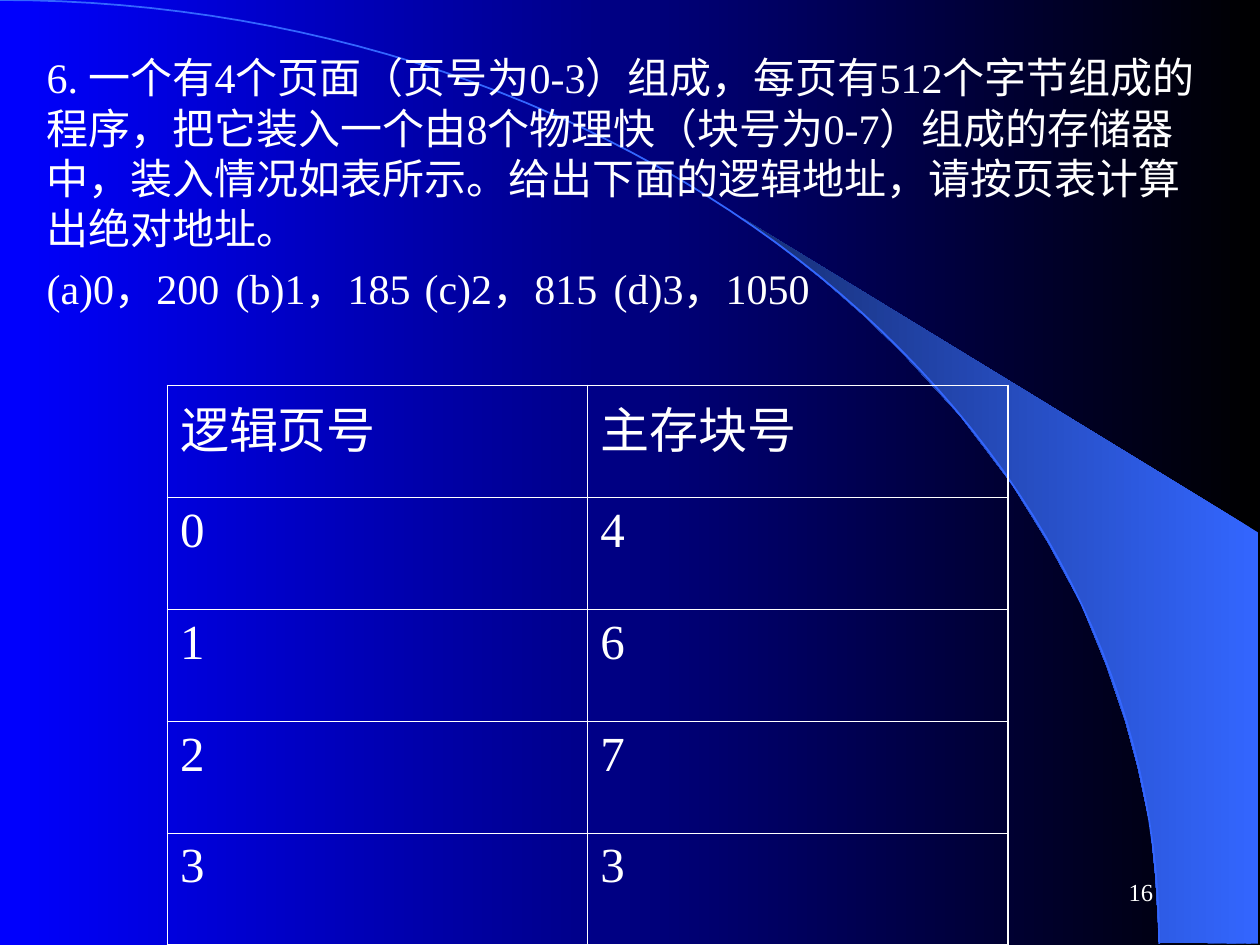
import math

from lxml import etree
from pptx import Presentation
from pptx.dml.color import RGBColor
from pptx.enum.text import MSO_ANCHOR, MSO_AUTO_SIZE, PP_ALIGN
from pptx.oxml.ns import qn
from pptx.util import Inches, Pt

MIDDLE = MSO_ANCHOR.MIDDLE
NO_AUTOFIT = MSO_AUTO_SIZE.NONE
LEFT, RIGHT = PP_ALIGN.LEFT, PP_ALIGN.RIGHT

COLORS = {
    "text": "FFFFFF",
    "black": "000000",
    "blue": "0000FF",
    "arc": "3366FF",
    "beam_dark": "172F75",
}
LATIN_FONT = "Times New Roman"
CHINESE_FONT = "Noto Sans CJK SC"

QUESTION = (
    "6. 一个有4个页面（页号为0-3）组成，每页有512个字节组成的程序，"
    "把它装入一个由8个物理快（块号为0-7）组成的存储器中，装入情况如表所示。"
    "给出下面的逻辑地址，请按页表计算出绝对地址。"
)
ADDRESSES = "(a)0，200\t(b)1，185\t(c)2，815\t(d)3，1050"
PAGE_TABLE = [("逻辑页号", "主存块号"), ("0", "4"), ("1", "6"), ("2", "7"), ("3", "3")]

BEAM_POINTS = [
    (9.2, 7.48), (9.99, 7.49), (9.99, 4.23), (5.89, 1.73), (6.24, 1.99),
    (6.53, 2.22), (6.85, 2.5), (7.16, 2.8), (7.62, 3.3), (8.03, 3.84),
    (8.32, 4.31), (8.58, 4.79), (8.78, 5.28), (8.93, 5.72), (9.03, 6.09),
    (9.13, 6.56), (9.17, 6.96),
]
ARC_STEPS = 60


def color(name):
    return RGBColor.from_string(COLORS[name])


def set_gradient(fill, first, last):
    fill.gradient()
    fill.gradient_angle = 180
    for stop, name in zip(fill.gradient_stops, (first, last)):
        stop.color.rgb = color(name)


def format_paragraph(paragraph, size, latin=LATIN_FONT):
    for run in paragraph.runs:
        run.font.size = Pt(size)
        run.font.bold = False
        run.font.color.rgb = color("text")
        run.font.name = latin
        properties = run.font._element
        etree.SubElement(properties, qn("a:ea"), typeface=CHINESE_FONT)


def add_outline(slide, points, close):
    points = [(Inches(x), Inches(y)) for x, y in points]
    builder = slide.shapes.build_freeform(*points[0])
    builder.add_line_segments(points[1:], close=close)
    shape = builder.convert_to_shape()
    shape.shadow.inherit = False
    return shape


def add_backdrop(slide, width, height):
    set_gradient(slide.background.fill, "black", "blue")

    beam = add_outline(slide, BEAM_POINTS, True)
    set_gradient(beam.fill, "arc", "beam_dark")
    beam.line.fill.background()

    angles = [math.pi / 2 * step / ARC_STEPS for step in range(ARC_STEPS + 1)]
    arc_points = [(width * math.sin(a), height * (1 - math.cos(a))) for a in angles]
    arc = add_outline(slide, arc_points, False)
    arc.fill.background()
    arc.line.color.rgb = color("arc")
    arc.line.width = Pt(1)


def add_question(slide, left, top, width, height):
    title = slide.shapes.title
    title.left, title.top, title.width, title.height = left, top, width, height
    slide.shapes.element.append(title.element)
    text_frame = title.text_frame
    text_frame.text = f"{QUESTION}\n{ADDRESSES}"
    text_frame.word_wrap = True
    text_frame.auto_size = NO_AUTOFIT
    text_frame.vertical_anchor = MIDDLE
    for paragraph in text_frame.paragraphs:
        paragraph.alignment = LEFT
        paragraph.line_spacing = Pt(28.8)
        format_paragraph(paragraph, 24)
    text_frame.paragraphs[-1].space_before = Pt(5)


def set_borders(cell, widths):
    properties = cell._tc.get_or_add_tcPr()
    for index, (side, width) in enumerate(widths.items()):
        line = etree.Element(qn(f"a:ln{side}"), w=str(Pt(width)))
        fill = etree.SubElement(line, qn("a:solidFill"))
        etree.SubElement(fill, qn("a:srgbClr"), val=COLORS["text"])
        properties.insert(index, line)


def add_page_table(slide, left, top, width, height):
    row_count, column_count = len(PAGE_TABLE), len(PAGE_TABLE[0])
    table = slide.shapes.add_table(
        row_count, column_count, left, top, width, height
    ).table
    table.first_row = False
    table.horz_banding = False
    outer, inner = 1.08, 0.45
    for row, values in enumerate(PAGE_TABLE):
        for column, value in enumerate(values):
            cell = table.cell(row, column)
            cell.text = value
            cell.fill.background()
            paragraph = cell.text_frame.paragraphs[0]
            paragraph.space_before = Pt(7)
            format_paragraph(paragraph, 28, CHINESE_FONT if row == 0 else LATIN_FONT)
            set_borders(cell, {
                "L": outer if column == 0 else inner,
                "R": outer if column == column_count - 1 else inner,
                "T": outer if row == 0 else inner,
                "B": outer if row == row_count - 1 else inner,
            })


def add_page_number(slide, left, top, width, height):
    text_frame = slide.shapes.add_textbox(left, top, width, height).text_frame
    text_frame.word_wrap = True
    text_frame.vertical_anchor = MIDDLE
    text_frame.text = "16"
    paragraph = text_frame.paragraphs[0]
    paragraph.alignment = RIGHT
    format_paragraph(paragraph, 14)


def main():
    presentation = Presentation()
    presentation.slide_width = Inches(10)
    presentation.slide_height = Inches(7.5)
    slide = presentation.slides.add_slide(presentation.slide_layouts[5])
    add_backdrop(slide, 9.2, 7.49)
    add_question(slide, Inches(0.27), Inches(0.28), Inches(9.33), Inches(2.33))
    add_page_table(slide, Inches(1.33), Inches(3.06), Inches(6.67), Inches(4.44))
    add_page_number(slide, Inches(7.17), Inches(6.83), Inches(2.08), Inches(0.5))
    presentation.save("out.pptx")


if __name__ == "__main__":
    main()
